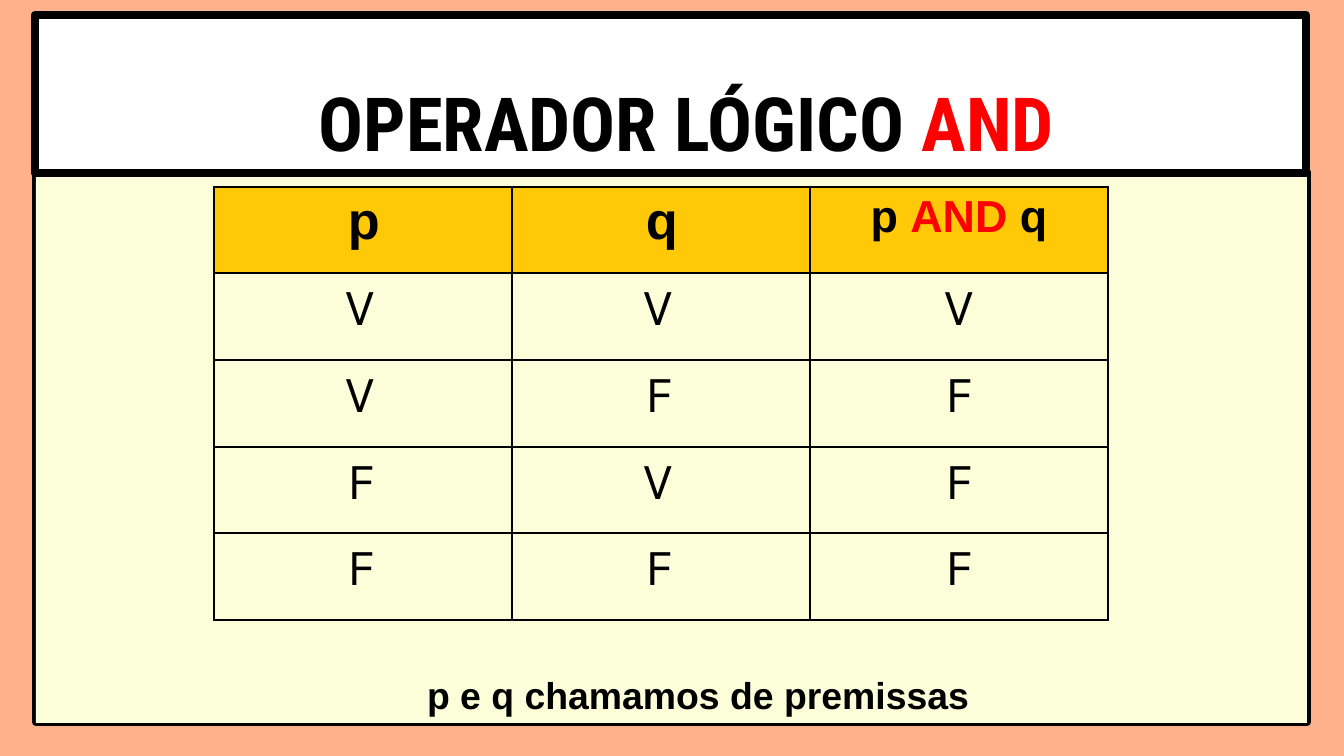
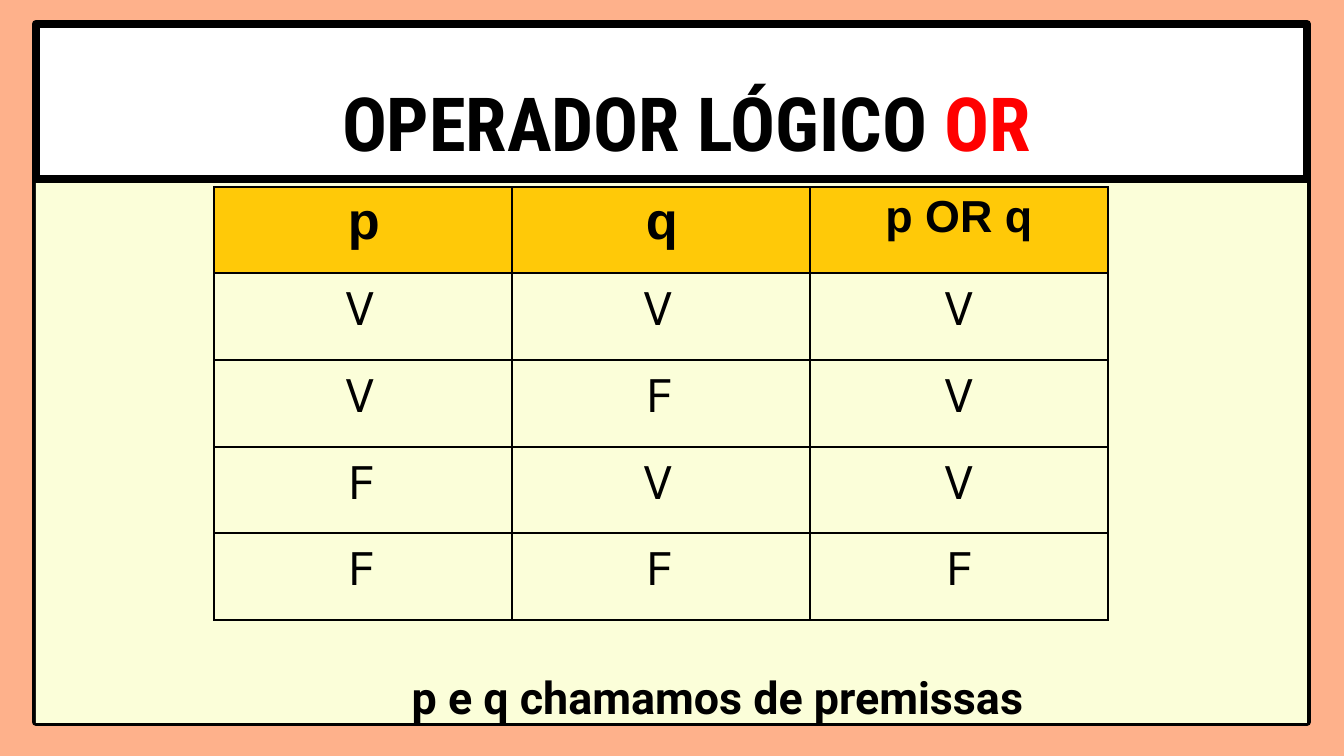
from pptx import Presentation
from pptx.dml.color import RGBColor
from pptx.enum.shapes import MSO_SHAPE as Shape
from pptx.enum.text import MSO_AUTO_SIZE as AutoSize, PP_ALIGN as Align
from pptx.oxml import parse_xml
from pptx.oxml.ns import nsdecls
from pptx.util import Emu, Pt

SLIDE_WIDTH, SLIDE_HEIGHT = 1344, 756
SCALE = 914400 / 134.4  # EMU in one px

COLORS = {
    "background": "FEB18B",
    "panel": "FBFED9",
    "header": "FFC908",
    "title": "FFFFFF",
    "ink": "000000",
    "accent": "FF0000",
}

TITLE_FONT = {"name": "Roboto Condensed", "size": Pt(40), "bold": True}
PREMISE_FONT = {"name": "Arial", "size": Pt(28), "bold": True}
RESULT_FONT = {"name": "Arial", "size": Pt(24), "bold": True}
VALUE_FONT = {"name": "Karla", "size": Pt(28), "bold": False}

TITLE_TEXT_AT = (288, 34, 797, 126)
TABLE_AT = (214, 187)
COLUMN_WIDTH = 298
ROW_HEIGHTS = (86, 87, 87, 86, 87)
CELL_INDENTS = {"V": 132}
DEFAULT_INDENT = 134
PREMISES = ("VV", "VF", "FV", "FF")
CAPTION = "p e q chamamos de premissas"


def px(length):
    return Emu(round(length * SCALE))


def color(name):
    return RGBColor.from_string(COLORS[name])


def paint(fill, name):
    fill.solid()
    fill.fore_color.rgb = color(name)


def set_margins(target, left, top, right, bottom):
    margins = {"left": left, "top": top, "right": right, "bottom": bottom}
    for side, length in margins.items():
        setattr(target, f"margin_{side}", px(length))


def write(para, spans, font, align=None, indent=0, line_spacing=None):
    """Fill a paragraph with (text, colour name) spans in one font."""
    if indent:
        para._p.get_or_add_pPr().set("marL", str(px(indent)))
    para.alignment = align
    para.line_spacing = line_spacing
    for text, ink in spans:
        span = para.add_run()
        span.text = text
        for attribute, value in font.items():
            setattr(span.font, attribute, value)
        span.font.color.rgb = color(ink)


def add_box(slide, at, fill, line_width=None):
    box = slide.shapes.add_shape(Shape.RECTANGLE, *map(px, at))
    box.shadow.inherit = False
    paint(box.fill, fill)
    if line_width is None:
        box.line.fill.background()
    else:
        box.line.color.rgb = color("ink")
        box.line.width = Pt(line_width)


def add_text(slide, at, margins, spans, font, **layout):
    frame = slide.shapes.add_textbox(*map(px, at)).text_frame
    frame.word_wrap = True
    frame.auto_size = AutoSize.SHAPE_TO_FIT_TEXT
    set_margins(frame, *margins)
    write(frame.paragraphs[0], spans, font, **layout)


def add_borders(cell):
    properties = cell._tc.get_or_add_tcPr()
    for position, edge in enumerate(("lnL", "lnR", "lnT", "lnB")):
        properties.insert(position, parse_xml(
            f'<a:{edge} {nsdecls("a")} w="{Pt(1)}"><a:solidFill>'
            f'<a:srgbClr val="{COLORS["ink"]}"/></a:solidFill></a:{edge}>'))


def fill_cell(cell, spans, font, fill=None, **layout):
    set_margins(cell, 0, 5, 0, 0)
    if fill:
        paint(cell.fill, fill)
    else:
        cell.fill.background()
    add_borders(cell)
    write(cell.text_frame.paragraphs[0], spans, font, **layout)


def add_truth_table(slide, result_header, results):
    size = (3 * COLUMN_WIDTH, sum(ROW_HEIGHTS))
    table = slide.shapes.add_table(
        len(ROW_HEIGHTS), 3, *map(px, TABLE_AT + size)).table
    table.first_row = table.horz_banding = False
    for column in table.columns:
        column.width = px(COLUMN_WIDTH)
    for row, height in zip(table.rows, ROW_HEIGHTS):
        row.height = px(height)

    for column, name in enumerate("pq"):
        fill_cell(table.cell(0, column), [(name, "ink")], PREMISE_FONT,
                  "header", indent=DEFAULT_INDENT)
    fill_cell(table.cell(0, 2), result_header, RESULT_FONT, "header",
              align=Align.CENTER)

    for row, (premises, result) in enumerate(zip(PREMISES, results), 1):
        for column, value in enumerate(premises):
            fill_cell(table.cell(row, column), [(value, "ink")], VALUE_FONT,
                      indent=CELL_INDENTS.get(value, DEFAULT_INDENT))
        fill_cell(table.cell(row, 2), [(result, "ink")], VALUE_FONT,
                  align=Align.CENTER)


def add_operator_slide(deck, operator, title_at, result_header, results,
                       caption_at, caption_font, caption_align=None):
    slide = deck.slides.add_slide(deck.slide_layouts[6])
    paint(slide.background.fill, "background")
    add_box(slide, (36, 172, 1271, 550), "panel", 4.5)
    add_box(slide, (36, 161, 1271, 562), "panel")
    add_truth_table(slide, result_header, results)
    add_text(slide, caption_at, (0, 1, 0, 0), [(CAPTION, "ink")],
             caption_font, align=caption_align, indent=1)
    add_box(slide, title_at, "title", 4.5)
    add_text(slide, TITLE_TEXT_AT, (13, 7, 13, 7),
             [("OPERADOR LÓGICO ", "ink"), (operator, "accent")],
             TITLE_FONT, align=Align.CENTER, line_spacing=1.4)


def main():
    deck = Presentation()
    deck.slide_width, deck.slide_height = px(SLIDE_WIDTH), px(SLIDE_HEIGHT)
    add_operator_slide(
        deck, "AND", (35, 15, 1271, 158),
        [("p ", "ink"), ("AND", "accent"), (" q", "ink")], "VFFF",
        (426, 671, 546, 48),
        {"name": "Arial", "size": Pt(20), "bold": True})
    add_operator_slide(
        deck, "OR", (36, 24, 1271, 155), [("p OR q", "ink")], "VVVF",
        (325, 669, 784, 56),
        {"name": "Roboto", "size": Pt(24), "bold": True}, Align.CENTER)
    deck.save("out.pptx")


if __name__ == "__main__":
    main()
